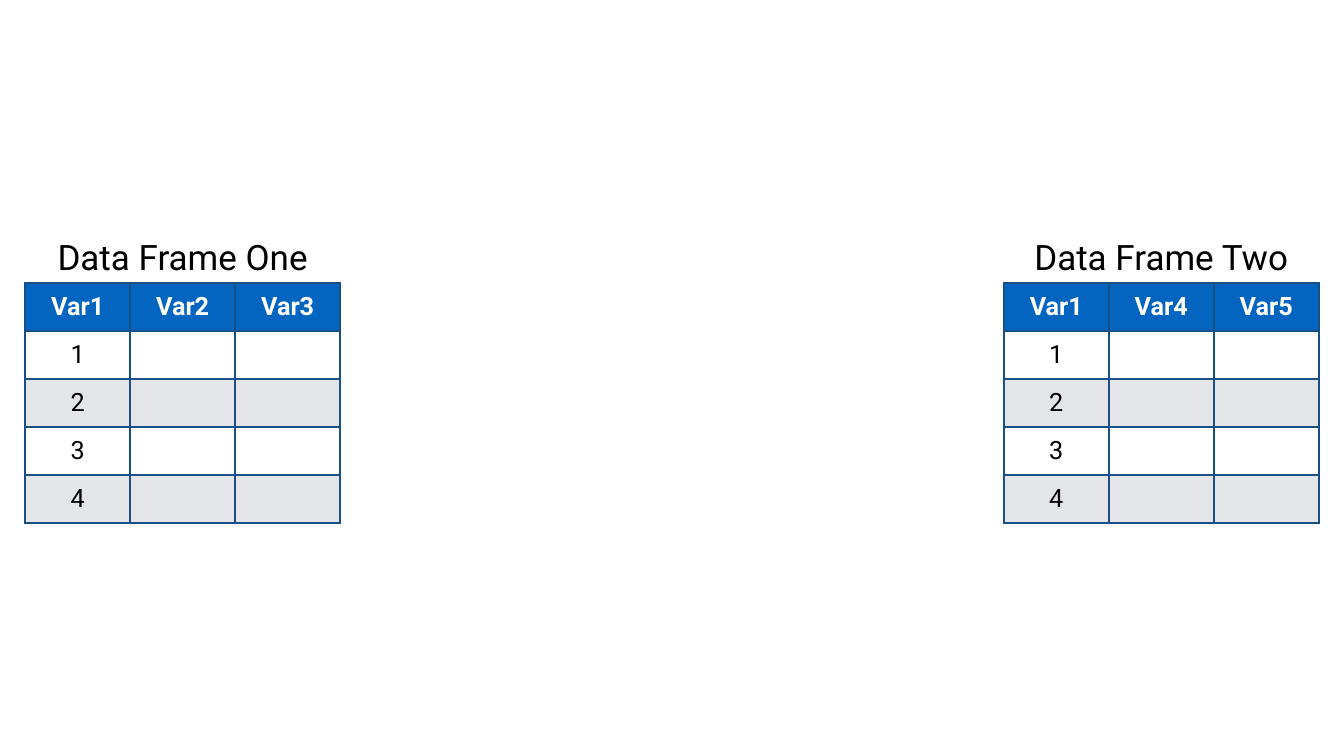
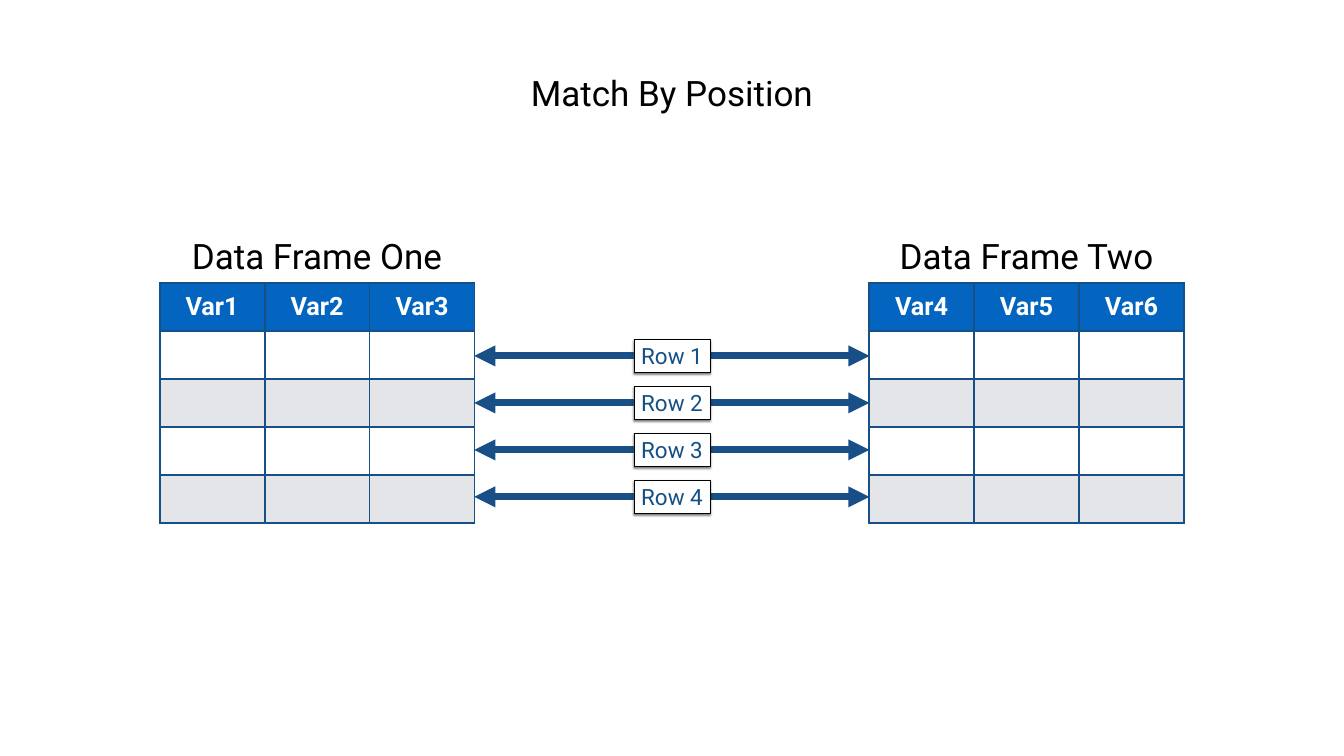
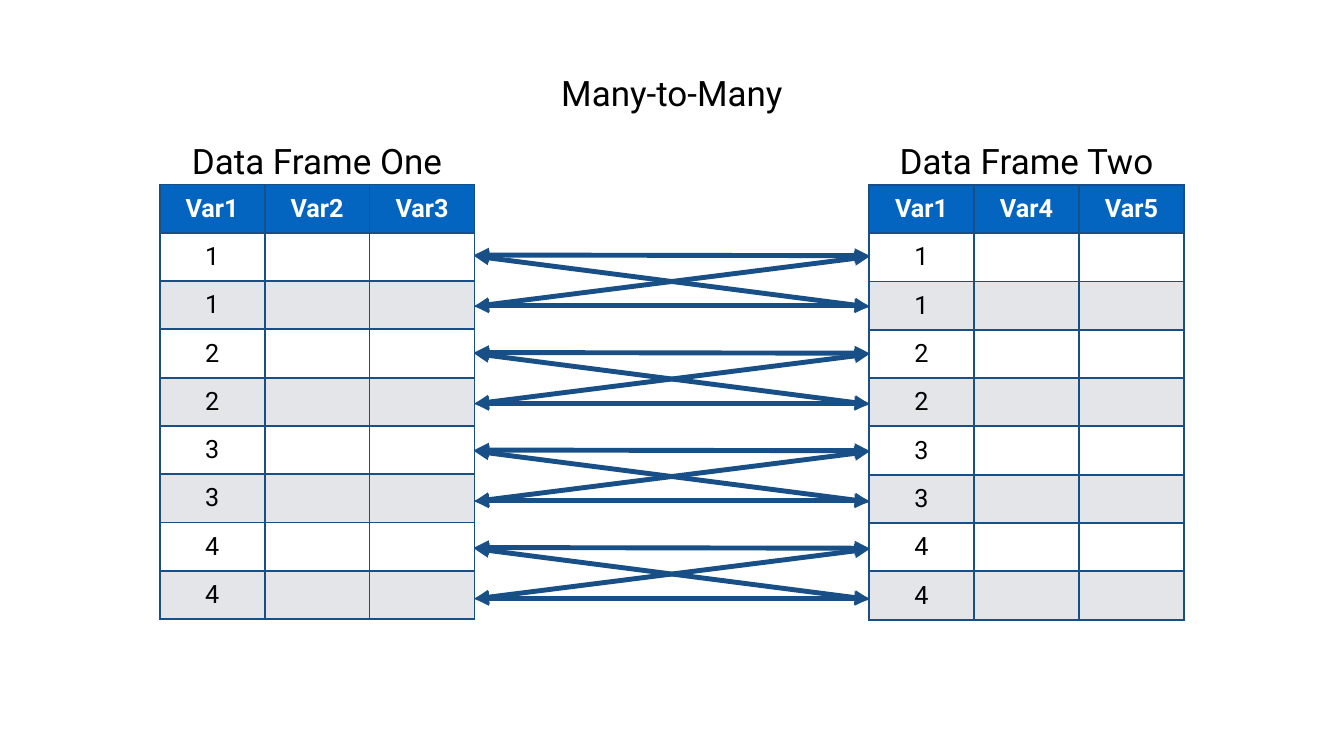
from dataclasses import dataclass
from itertools import product

from lxml.etree import SubElement
from pptx import Presentation
from pptx.dml.color import RGBColor
from pptx.enum.shapes import MSO_CONNECTOR, MSO_SHAPE
from pptx.enum.text import MSO_ANCHOR, MSO_AUTO_SIZE, PP_ALIGN
from pptx.oxml.ns import qn
from pptx.slide import Slide
from pptx.text.text import TextFrame, _Paragraph as Paragraph
from pptx.util import Pt

COLORS = {
    "black": "000000",
    "white": "FFFFFF",
    "header": "0365C0",
    "band": "E3E5E8",
    "line": "174F86",
    "label": "155085",
}
FONT = "Roboto"
SLIDE_WIDTH, SLIDE_HEIGHT = 1920, 1080
CENTER = SLIDE_WIDTH / 2
COLUMN_WIDTH = 150
INSET = 4
HEADING_HEIGHT = 68.4
LEFT_TABLE, RIGHT_TABLE = 228, 1241.5
ARROW_START, ARROW_END = 677.5, 1242


@dataclass(frozen=True)
class Heading:
    text: str
    top: float
    width: float
    center: float = CENTER
    wrap: bool = False


@dataclass(frozen=True)
class DataFrame:
    caption: str
    left: float
    top: float
    variables: tuple[str, ...]
    keys: tuple[str, ...]
    row_height: float = 68.6
    caption_rise: float = 72.7
    caption_width: float = 381
    wrap: bool = False


@dataclass(frozen=True)
class Arrow:
    start_y: float
    end_y: float
    weight: float


def color(name: str) -> RGBColor:
    return RGBColor.from_string(COLORS[name])


def style_paragraph(paragraph: Paragraph, size: float, color_name: str, bold: bool = False) -> None:
    paragraph.alignment = PP_ALIGN.CENTER
    font = paragraph.font
    font.name = FONT
    font.size = Pt(size)
    font.bold = bold
    font.color.rgb = color(color_name)


def write_text(frame: TextFrame, text: str, size: float, color_name: str, wrap: bool) -> None:
    frame.margin_left = frame.margin_right = Pt(INSET)
    frame.margin_top = frame.margin_bottom = Pt(INSET)
    frame.vertical_anchor = MSO_ANCHOR.MIDDLE
    frame.word_wrap = wrap
    frame.auto_size = MSO_AUTO_SIZE.SHAPE_TO_FIT_TEXT
    frame.text = text
    style_paragraph(frame.paragraphs[0], size, color_name)


def draw_heading(slide: Slide, heading: Heading) -> None:
    box = slide.shapes.add_textbox(
        Pt(heading.center - heading.width / 2), Pt(heading.top), Pt(heading.width), Pt(HEADING_HEIGHT)
    )
    write_text(box.text_frame, heading.text, 50, "black", heading.wrap)


def draw_cell(cell, text: str, row: int) -> None:
    is_header = row == 0
    cell.margin_left = cell.margin_right = Pt(INSET)
    cell.margin_top = cell.margin_bottom = Pt(INSET)
    cell.vertical_anchor = MSO_ANCHOR.MIDDLE
    properties = cell._tc.get_or_add_tcPr()
    for side in ("a:lnL", "a:lnR", "a:lnT", "a:lnB"):
        border = SubElement(properties, qn(side), w=str(Pt(3)))
        fill = SubElement(border, qn("a:solidFill"))
        SubElement(fill, qn("a:srgbClr"), val=COLORS["line"])
    cell.fill.solid()
    cell.fill.fore_color.rgb = color("header" if is_header else "white" if row % 2 else "band")
    if text:
        cell.text = text
        style_paragraph(cell.text_frame.paragraphs[0], 36, "white" if is_header else "black", is_header)


def draw_data_frame(slide: Slide, data: DataFrame) -> None:
    row_count, column_count = len(data.keys) + 1, len(data.variables)
    width = COLUMN_WIDTH * column_count
    draw_heading(
        slide,
        Heading(data.caption, data.top - data.caption_rise, data.caption_width, data.left + width / 2, data.wrap),
    )
    table = slide.shapes.add_table(
        row_count, column_count, Pt(data.left), Pt(data.top), Pt(width), Pt(data.row_height * row_count)
    ).table
    table.first_row = table.horz_banding = False
    for column in table.columns:
        column.width = Pt(COLUMN_WIDTH)
    for row in table.rows:
        row.height = Pt(data.row_height)
    for row, column in product(range(row_count), range(column_count)):
        if row == 0:
            text = data.variables[column]
        else:
            text = data.keys[row - 1] if column == 0 else ""
        draw_cell(table.cell(row, column), text, row)


def draw_arrow(slide: Slide, arrow: Arrow) -> None:
    connector = slide.shapes.add_connector(
        MSO_CONNECTOR.STRAIGHT, Pt(ARROW_START), Pt(arrow.start_y), Pt(ARROW_END), Pt(arrow.end_y)
    )
    connector.line.color.rgb = color("line")
    connector.line.width = Pt(arrow.weight)
    properties = connector.element.spPr
    outline = properties.find(qn("a:ln"))
    for end in ("a:headEnd", "a:tailEnd"):
        SubElement(outline, qn(end), type="triangle")
    SubElement(properties, qn("a:effectLst"))


def draw_row_label(slide: Slide, text: str, middle: float) -> None:
    width, height = 108.7, 46.8
    shape = slide.shapes.add_shape(
        MSO_SHAPE.RECTANGLE, Pt(CENTER - width / 2), Pt(middle - height / 2), Pt(width), Pt(height)
    )
    shape.fill.solid()
    shape.fill.fore_color.rgb = color("white")
    shape.line.color.rgb = color("black")
    shape.line.width = Pt(1)
    shape.shadow.inherit = False
    effects = shape.element.spPr.find(qn("a:effectLst"))
    shadow = SubElement(
        effects, qn("a:outerShdw"), blurRad=str(Pt(3)), dist=str(Pt(2)), dir="5400000", rotWithShape="0"
    )
    shadow_color = SubElement(shadow, qn("a:srgbClr"), val=COLORS["black"])
    SubElement(shadow_color, qn("a:alpha"), val="50000")
    write_text(shape.text_frame, text, 32, "label", True)


def build_two_frames(slide: Slide) -> None:
    keys = ("1", "2", "3", "4")
    draw_data_frame(slide, DataFrame("Data Frame One", 36, 404.5, ("Var1", "Var2", "Var3"), keys))
    draw_data_frame(
        slide, DataFrame("Data Frame Two", 1434, 404.5, ("Var1", "Var4", "Var5"), keys, caption_width=378)
    )


def build_match_by_position(slide: Slide) -> None:
    middles = [508.5 + 67.1 * index for index in range(4)]
    for middle in middles:
        draw_arrow(slide, Arrow(middle, middle, 10))
    draw_heading(slide, Heading("Match By Position", 97.5, 412))
    keys = ("",) * 4
    draw_data_frame(
        slide, DataFrame("Data Frame One", LEFT_TABLE, 404, ("Var1", "Var2", "Var3"), keys, wrap=True)
    )
    draw_data_frame(
        slide, DataFrame("Data Frame Two", RIGHT_TABLE, 404, ("Var4", "Var5", "Var6"), keys, caption_width=378)
    )
    for number, middle in enumerate(middles, start=1):
        draw_row_label(slide, f"Row {number}", middle)


def build_many_to_many(slide: Slide) -> None:
    draw_heading(slide, Heading("Many-to-Many", 97.5, 328))
    keys = tuple(key for key in "1234" for _ in range(2))
    draw_data_frame(
        slide, DataFrame("Data Frame One", LEFT_TABLE, 263.5, ("Var1", "Var2", "Var3"), keys, 69, 69)
    )
    draw_data_frame(
        slide, DataFrame("Data Frame Two", RIGHT_TABLE, 264.2, ("Var1", "Var4", "Var5"), keys, 69, 69, 378)
    )
    links = ((364.3, 365.3), (437, 437), (365.8, 438.5), (437.8, 366.5))
    for group, (start, end) in product(range(4), links):
        offset = 139.3 * group
        draw_arrow(slide, Arrow(start + offset, end + offset, 7))


def main() -> None:
    presentation = Presentation()
    presentation.slide_width = Pt(SLIDE_WIDTH)
    presentation.slide_height = Pt(SLIDE_HEIGHT)
    blank = presentation.slide_layouts[6]
    for build in (build_two_frames, build_match_by_position, build_many_to_many):
        build(presentation.slides.add_slide(blank))
    presentation.save("out.pptx")


if __name__ == "__main__":
    main()
